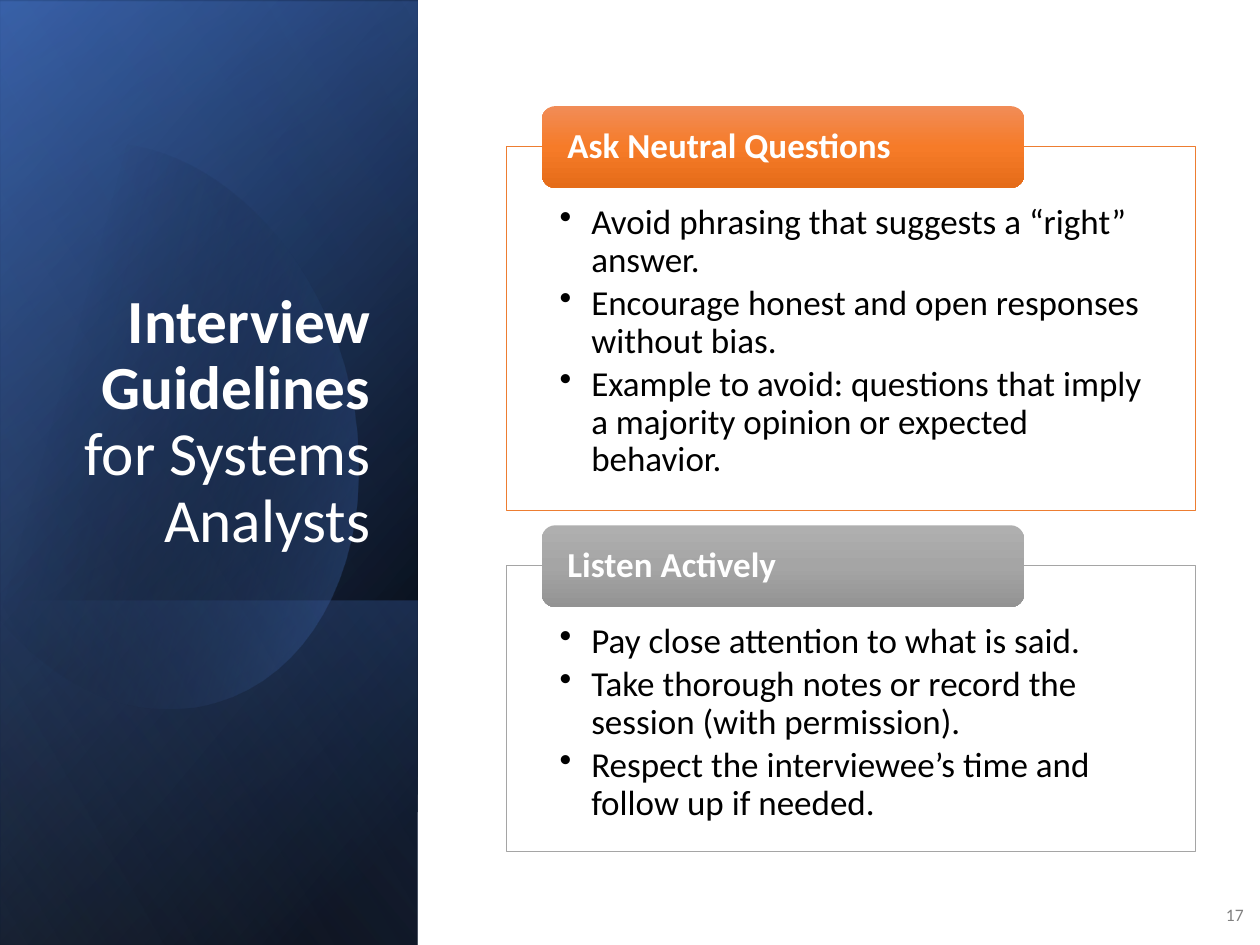
"""Build the interview guidelines slide with a blue side panel and two guideline cards."""
from lxml.etree import SubElement
from pptx import Presentation
from pptx.dml.color import RGBColor
from pptx.enum.shapes import MSO_SHAPE
from pptx.enum.text import MSO_ANCHOR, PP_ALIGN
from pptx.oxml.ns import qn
from pptx.util import Cm, Pt

COLORS = {
    "white": "FFFFFF", "black": "000000", "number": "808080",
    "navy": "2F5597", "blue": "4472C4", "pale": "8FAADC",
    "orange": "ED7D31", "orange_top": "F18C57", "orange_middle": "F67B28", "orange_bottom": "E56C19",
    "gray": "A5A5A5", "gray_top": "AFAFAF", "gray_bottom": "939393",
}


def fill_gradient(shape, stops, angle):
    """Fill a borderless shape with (position, color, opacity) stops in percent."""
    shape.shadow.inherit = False
    shape.line.fill.background()
    shape.fill.gradient()
    gradient = shape._element.spPr.find(qn("a:gradFill"))
    for child in list(gradient):
        gradient.remove(child)
    stop_list = SubElement(gradient, qn("a:gsLst"))
    for position, color, opacity in stops:
        stop = SubElement(stop_list, qn("a:gs"), pos=str(position * 1000))
        value = SubElement(stop, qn("a:srgbClr"), val=COLORS[color])
        if opacity < 100:
            SubElement(value, qn("a:alpha"), val=str(opacity * 1000))
    SubElement(gradient, qn("a:lin"), ang=str(angle * 60000), scaled="0")


def style_paragraph(paragraph, size, color, alignment=PP_ALIGN.LEFT, bold=None):
    """Set the font, color and alignment of a whole paragraph."""
    paragraph.alignment = alignment
    paragraph.line_spacing = 0.9
    paragraph.font.name = "Calibri"
    paragraph.font.size = Pt(size)
    paragraph.font.bold = bold
    paragraph.font.color.rgb = RGBColor.from_string(COLORS[color])


presentation = Presentation()
presentation.slide_width = Cm(25.4)
presentation.slide_height = Cm(19.05)
slide = presentation.slides.add_slide(presentation.slide_layouts[6])
shapes = slide.shapes

panel = (-5.31, 5.31, 19.05, 8.41)
layers = [
    (panel, [(8, "black", 100), (100, "navy", 100)], 50),
    ((-5.31, 5.36, 19.05, 8.41), [(0, "black", 0), (99, "blue", 46)], 30),
    ((0.74, 11.38, 6.96, 8.41), [(2, "blue", 29), (100, "black", 30)], 130),
    (panel, [(0, "black", 0), (99, "pale", 11)], 120),
]
for index, (box, stops, angle) in enumerate(layers):
    if index == 3:
        curves = [
            [(2.44, 2.9), (4.34, 3.1), (6.2, 4.88), (6.93, 7.37)],
            [(6.93, 7.37), (7.8, 10.46), (6.65, 13.49), (4.34, 14.15)],
            [(4.34, 14.15), (2.9, 14.58), (1.35, 13.97), (0.18, 12.7)],
            [(-0.08, 12.4), (-0.64, 4.22), (-0.64, 4.22), (-0.64, 4.22)],
            [(-0.38, 3.91), (0.05, 3.48), (0.56, 3.18), (1.14, 3)],
            [(1.14, 3), (1.57, 2.87), (2.01, 2.84), (2.44, 2.9)],
        ]
        outline = []
        for curve in curves:
            for step in range(21):
                t = step / 20
                weights = ((1 - t) ** 3, 3 * t * (1 - t) ** 2, 3 * t ** 2 * (1 - t), t ** 3)
                outline.append(tuple(
                    Cm(sum(weight * point[axis] for weight, point in zip(weights, curve)))
                    for axis in (0, 1)
                ))
        builder = shapes.build_freeform(*outline[0])
        builder.add_line_segments(outline[1:], close=True)
        glow = builder.convert_to_shape()
        fill_gradient(glow, [(29, "black", 0), (100, "blue", 43)], 15)
    layer = shapes.add_shape(MSO_SHAPE.RECTANGLE, *map(Cm, box))
    layer.rotation = 90
    layer._element.spPr.find(qn("a:xfrm")).set("flipH", "1")
    fill_gradient(layer, stops, angle)

title = shapes.add_textbox(Cm(1.22), Cm(4.67), Cm(6.5), Cm(6.65))
title.text_frame.word_wrap = True
title.text_frame.vertical_anchor = MSO_ANCHOR.BOTTOM
paragraph = title.text_frame.paragraphs[0]
style_paragraph(paragraph, 35, "white", PP_ALIGN.RIGHT)
for text, bold in [("Interview Guidelines ", True), ("for Systems Analysts", False)]:
    run = paragraph.add_run()
    run.text = text
    run.font.bold = bold

number = shapes.add_textbox(Cm(24.38), Cm(17.93), Cm(0.94), Cm(1.02))
number.text_frame.word_wrap = True
number.text_frame.vertical_anchor = MSO_ANCHOR.MIDDLE
paragraph = number.text_frame.paragraphs[0]
paragraph.text = "17"
style_paragraph(paragraph, 10, "number", PP_ALIGN.RIGHT)
paragraph.line_spacing = 1.0
paragraph.space_after = Pt(6)

cards = [
    ("Ask Neutral Questions", 2.95, 7.34, "orange", ("orange_top", "orange_middle", "orange_bottom"), [
        "Avoid phrasing that suggests a “right” answer.",
        "Encourage honest and open responses without bias.",
        "Example to avoid: questions that imply a majority opinion or expected behavior.",
    ]),
    ("Listen Actively", 11.4, 5.77, "gray", ("gray_top", "gray", "gray_bottom"), [
        "Pay close attention to what is said.",
        "Take thorough notes or record the session (with permission).",
        "Respect the interviewee’s time and follow up if needed.",
    ]),
]
for heading, top, height, border, shades, points in cards:
    card = shapes.add_shape(MSO_SHAPE.RECTANGLE, Cm(10.21), Cm(top), Cm(13.89), Cm(height))
    card.shadow.inherit = False
    card.fill.solid()
    card.fill.fore_color.rgb = RGBColor.from_string(COLORS["white"])
    fill_color = card._element.spPr.find(qn("a:solidFill")).find(qn("a:srgbClr"))
    SubElement(fill_color, qn("a:alpha"), val="90000")
    card.line.color.rgb = RGBColor.from_string(COLORS[border])
    card.line.width = Pt(0.5)
    frame = card.text_frame
    frame.word_wrap = True
    frame.vertical_anchor = MSO_ANCHOR.TOP
    frame.margin_left = frame.margin_right = Cm(1.07)
    frame.margin_top, frame.margin_bottom = Cm(1.17), Cm(0.41)
    for index, point in enumerate(points):
        paragraph = frame.add_paragraph() if index else frame.paragraphs[0]
        paragraph.text = point
        properties = paragraph._p.get_or_add_pPr()
        properties.set("marL", str(Cm(0.64)))
        properties.set("indent", str(Cm(-0.64)))
        SubElement(properties, qn("a:buChar"), char="•")
        style_paragraph(paragraph, 20, "black")
        paragraph.space_after = Pt(3)

    header = shapes.add_shape(MSO_SHAPE.ROUNDED_RECTANGLE, Cm(10.92), Cm(top - 0.81), Cm(9.73), Cm(1.65))
    fill_gradient(header, [(position, shade, 100) for position, shade in zip((0, 50, 100), shades)], 90)
    frame = header.text_frame
    frame.word_wrap = True
    frame.vertical_anchor = MSO_ANCHOR.MIDDLE
    frame.margin_left = frame.margin_right = Cm(0.44)
    frame.margin_top = frame.margin_bottom = 0
    paragraph = frame.paragraphs[0]
    paragraph.text = heading
    style_paragraph(paragraph, 20, "white", bold=True)

presentation.save("out.pptx")
